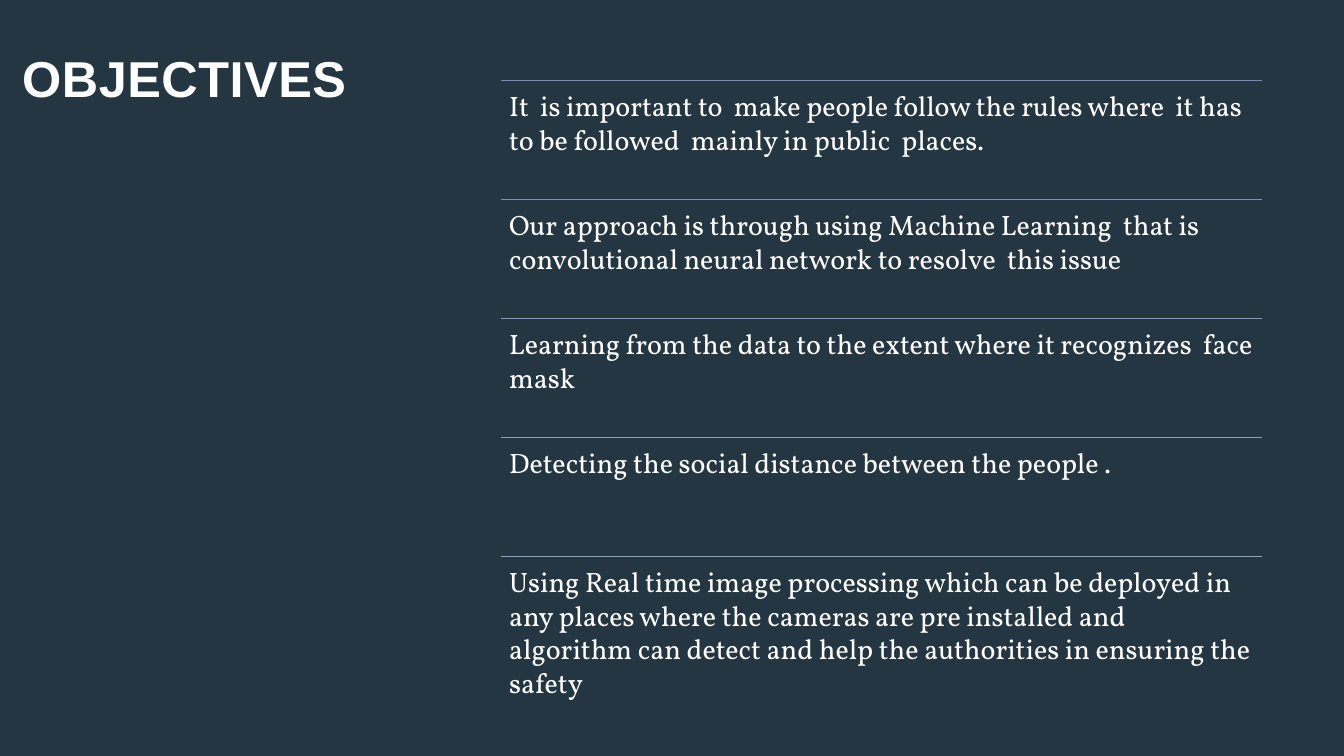
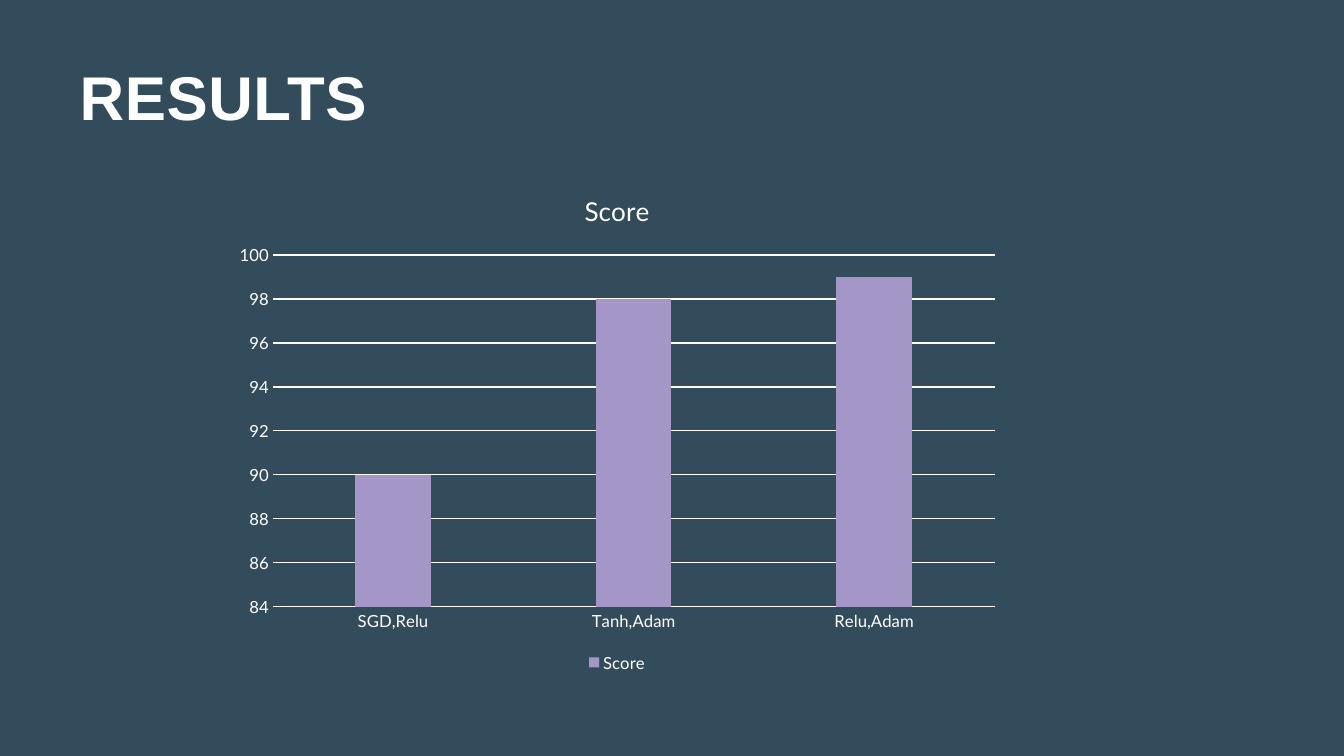
from lxml import etree
from pptx import Presentation
from pptx.chart.data import CategoryChartData as Data
from pptx.dml.color import RGBColor as RGB
from pptx.enum.chart import XL_CHART_TYPE as Kind, XL_LEGEND_POSITION as Place, XL_TICK_MARK as Tick
from pptx.enum.shapes import MSO_CONNECTOR as Link
from pptx.enum.text import MSO_ANCHOR as Anchor, MSO_AUTO_SIZE as Fit, PP_ALIGN as Align
from pptx.oxml.ns import qn
from pptx.util import Inches, Pt

WHITE = RGB(0xFF, 0xFF, 0xFF)
NIGHT = RGB(0x24, 0x36, 0x41)
SLATE = RGB(0x33, 0x4C, 0x5B)
LILAC = RGB(0xA4, 0x96, 0xC6)
RULES = [
    RGB(0x7F, 0x86, 0xBA),
    RGB(0x82, 0x8E, 0xBB),
    RGB(0x84, 0x97, 0xBD),
    RGB(0x87, 0x9F, 0xBE),
    RGB(0x89, 0xA6, 0xC0),
]
HEAD, BODY, LABEL = "Arial", "Vollkorn", "Lato"

GOALS = [
    "It  is important to  make people follow the rules where  it has to be followed  mainly in public  places.",
    "Our approach is through using Machine Learning  that is convolutional neural network to resolve  this issue",
    "Learning from the data to the extent where it recognizes  face mask",
    "Detecting the social distance between the people .",
    "Using Real time image processing which can be deployed in any places where the cameras are pre installed "
    "and algorithm can detect and help the authorities in ensuring the safety",
]
SCORES = {"SGD,Relu": 90, "Tanh,Adam": 98, "Relu,Adam": 99}


class Deck:
    def __init__(self):
        self.file = Presentation()
        self.file.slide_width = Inches(13.33)
        self.file.slide_height = Inches(7.5)
        self.slide = None

    def page(self, color):
        self.slide = self.file.slides.add_slide(self.file.slide_layouts[5])
        fill = self.slide.background.fill
        fill.solid()
        fill.fore_color.rgb = color

    def style(self, font, face, size, bold=False):
        font.name, font.size, font.bold = face, Pt(size), bold
        font.color.rgb = WHITE

    def frame(self, shape, inset):
        frame = shape.text_frame
        frame.word_wrap = True
        frame.auto_size = Fit.NONE
        frame.vertical_anchor = Anchor.TOP
        frame.margin_left = frame.margin_right = Inches(inset)
        frame.margin_top = frame.margin_bottom = Inches(inset)
        para = frame.paragraphs[0]
        para.alignment = Align.LEFT
        return para

    def title(self, text, x, y, w, h, size):
        shape = self.slide.shapes.title
        shape.left, shape.top = Inches(x), Inches(y)
        shape.width, shape.height = Inches(w), Inches(h)
        para = self.frame(shape, 0)
        para.line_spacing = 0.88
        run = para.add_run()
        run.text = text
        self.style(run.font, HEAD, size, True)
        run.font._element.set("spc", "40")

    def text(self, text, x, y, w, h):
        box = self.slide.shapes.add_textbox(Inches(x), Inches(y), Inches(w), Inches(h))
        run = self.frame(box, 0.08).add_run()
        run.text = text
        self.style(run.font, BODY, 20)

    def rule(self, x, y, w, color):
        line = self.slide.shapes.add_connector(
            Link.STRAIGHT, Inches(x), Inches(y), Inches(x + w), Inches(y))
        line.line.color.rgb = color
        line.line.width = Pt(0.5)
        etree.SubElement(line._element.spPr, qn("a:effectLst"))

    def stroke(self, line):
        line.color.rgb = WHITE
        line.width = Pt(0.75)

    def chart(self, name, table, x, y, w, h):
        data = Data()
        data.categories = list(table)
        data.add_series(name, list(table.values()))
        chart = self.slide.shapes.add_chart(
            Kind.COLUMN_CLUSTERED, Inches(x), Inches(y), Inches(w), Inches(h), data).chart
        self.style(chart.font, LABEL, 10)

        chart.has_title = True
        run = chart.chart_title.text_frame.paragraphs[0].add_run()
        run.text = name
        self.style(run.font, LABEL, 18.6)
        chart.chart_title.include_in_layout = False

        chart.has_legend = True
        chart.legend.position = Place.BOTTOM
        chart.legend.include_in_layout = False
        self.style(chart.legend.font, LABEL, 11.9)

        cats, vals = chart.category_axis, chart.value_axis
        for axis in (cats, vals):
            axis.major_tick_mark = axis.minor_tick_mark = Tick.NONE
            self.style(axis.tick_labels.font, LABEL, 11.9)
        self.stroke(cats.format.line)
        vals.format.line.fill.background()
        vals.minimum_scale, vals.maximum_scale, vals.major_unit = 84, 100, 2
        vals.has_major_gridlines = True
        self.stroke(vals.major_gridlines.format.line)

        plot = chart.plots[0]
        plot.vary_by_categories = False
        plot.gap_width, plot.overlap = 219, -27
        fill = plot.series[0].format.fill
        fill.solid()
        fill.fore_color.rgb = LILAC


def main():
    deck = Deck()

    deck.page(NIGHT)
    deck.title("OBJECTIVES", 0.22, 0.54, 4.44, 6.16, 36)
    left, top, wide, step = 4.97, 0.8, 7.55, 1.18
    for row, (goal, color) in enumerate(zip(GOALS, RULES)):
        y = top + row * step
        deck.rule(left, y, wide, color)
        deck.text(goal, left, y, wide, step)

    deck.page(SLATE)
    deck.title("RESULTS", 0.79, 0.68, 11.73, 0.89, 44.1)
    deck.chart("Score", SCORES, 2.22, 1.71, 7.8, 5)

    deck.file.save("out.pptx")


if __name__ == "__main__":
    main()
